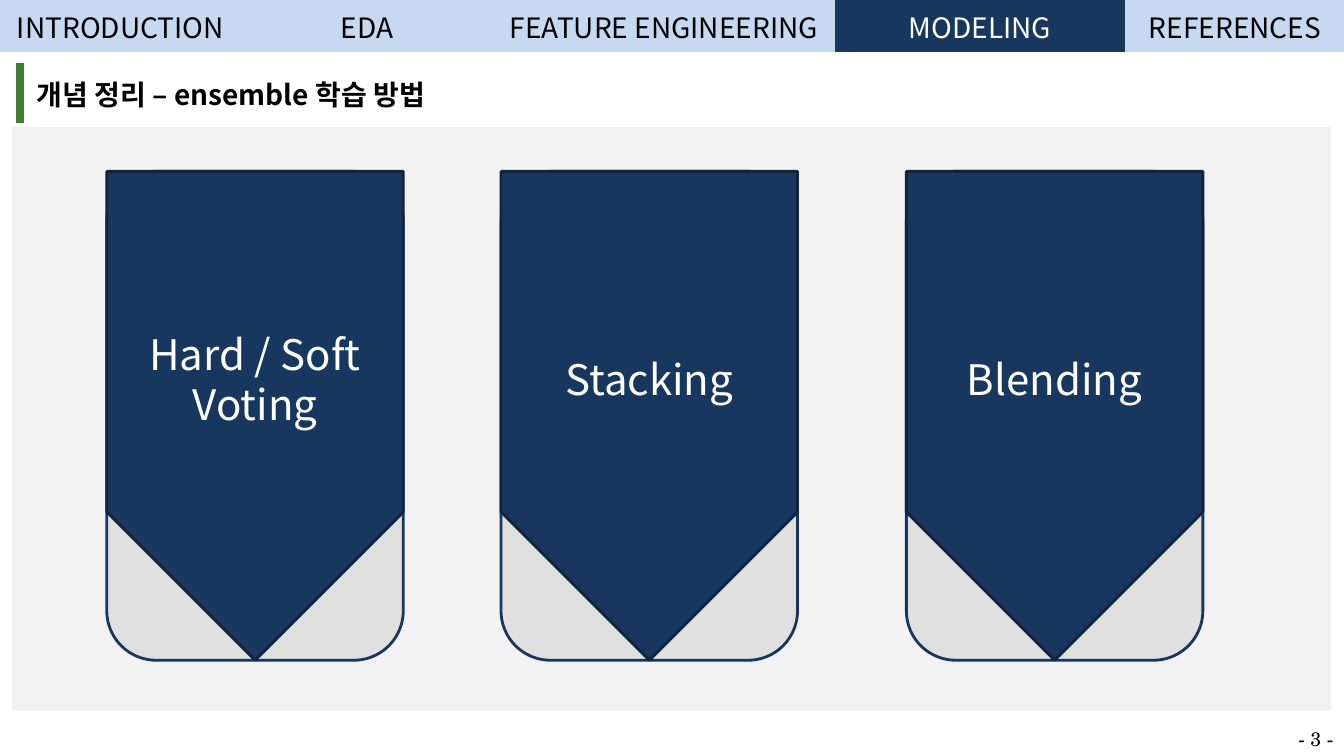
from lxml.etree import SubElement
from pptx import Presentation
from pptx.dml.color import RGBColor
from pptx.enum.shapes import MSO_SHAPE as SHAPE
from pptx.enum.text import MSO_ANCHOR as ANCHOR, PP_ALIGN as ALIGN
from pptx.oxml.ns import qn
from pptx.util import Inches, Pt

# Content
HEADING = " 개념 정리 – ensemble 학습 방법"
PAGE = "- 3 -"
TABS = [("INTRODUCTION", 2.39), ("EDA", 2.5), ("FEATURE ENGINEERING", 3.39),
        ("MODELING", 2.88), ("REFERENCES", 2.18)]  # label, column width
CURRENT = "MODELING"
BANNERS = [("Hard / Soft Voting", 1.06), ("Stacking", 4.97), ("Blending", 8.99)]  # label, left

# Format
SANS, SERIF = "Noto Sans CJK KR", "TeX Gyre Schola"
BLACK, WHITE = RGBColor(0, 0, 0), RGBColor(255, 255, 255)
NAVY, DARK = RGBColor(0x17, 0x37, 0x5E), RGBColor(0x0F, 0x24, 0x3E)
SKY, GREEN = RGBColor(0xC6, 0xD9, 0xF1), RGBColor(0x3E, 0x7D, 0x33)
PANEL, GRAY = RGBColor(0xF2, 0xF2, 0xF2), RGBColor(0xE0, 0xE0, 0xE0)
NO_STYLE = "{2D5ABB26-0587-4C30-8999-92F81FD0307C}"
WIDTH, HEIGHT = 13.33, 7.5
ROW_H = 0.52
BANNER_TOP, BANNER_W, BANNER_H = 1.7, 2.94, 4.85

prs = Presentation()
prs.slide_width, prs.slide_height = Inches(WIDTH), Inches(HEIGHT)
s = prs.slides.add_slide(prs.slide_layouts[6])


def write(tf, text, size=20, color=BLACK, font=SANS, bold=False, align=ALIGN.CENTER):
    p = tf.paragraphs[0]
    p.alignment = align
    r = p.add_run()
    r.text = text
    r.font.size, r.font.bold, r.font.name = Pt(size), bold, font
    r.font.color.rgb = color
    SubElement(r.font._element, qn("a:ea"), typeface=font)


def add_box(kind, x, y, w, h, fill, line=None):
    sp = s.shapes.add_shape(kind, Inches(x), Inches(y), Inches(w), Inches(h))
    sp.shadow.inherit = False
    sp.fill.solid()
    sp.fill.fore_color.rgb = fill
    if line is None:
        sp.line.fill.background()
    else:
        sp.line.color.rgb, sp.line.width = line, Pt(2)
    return sp


def add_row(x, y, widths, margin, anchor):
    """Add a plain one-row table and return its cells."""
    table = s.shapes.add_table(1, len(widths), Inches(x), Inches(y),
                               Inches(sum(widths)), Inches(ROW_H)).table
    table.first_row = table.horz_banding = False
    table._tbl.tblPr.find(qn("a:tableStyleId")).text = NO_STYLE
    for column, width in zip(table.columns, widths):
        column.width = Inches(width)
    cells = list(table.iter_cells())
    for cell in cells:
        cell.margin_left = cell.margin_right = Inches(margin)
        cell.margin_top = cell.margin_bottom = Inches(margin)
        cell.vertical_anchor = anchor
    return cells


# Background panel
add_box(SHAPE.RECTANGLE, 0.12, 1.26, 13.08, 5.79, PANEL)

# Heading with its green left border
heading = add_row(0.2, 0.62, [5.65], 0.1, ANCHOR.TOP)[0]
border = SubElement(heading._tc.get_or_add_tcPr(), qn("a:lnL"), w=str(Pt(6)))
SubElement(SubElement(border, qn("a:solidFill")), qn("a:srgbClr"), val=str(GREEN))
write(heading.text_frame, HEADING, bold=True, align=ALIGN.LEFT)

# Page number
page = s.shapes.add_textbox(Inches(12.78), Inches(7.16), Inches(0.55), Inches(0.34))
page.text_frame.word_wrap = False
write(page.text_frame, PAGE, size=14, font=SERIF, align=ALIGN.LEFT)

# Navigation tabs
tabs = add_row(0, 0, [width for _, width in TABS], 0.04, ANCHOR.MIDDLE)
for cell, (label, _) in zip(tabs, TABS):
    cell.fill.solid()
    cell.fill.fore_color.rgb = NAVY if label == CURRENT else SKY
    write(cell.text_frame, label, color=WHITE if label == CURRENT else BLACK)

# Banners: a card under a pentagon turned to point down
turn = (BANNER_H - BANNER_W) / 2
for label, left in BANNERS:
    add_box(SHAPE.ROUNDED_RECTANGLE, left, BANNER_TOP, BANNER_W, BANNER_H, GRAY, NAVY)
    sp = add_box(SHAPE.PENTAGON, left - turn, BANNER_TOP + turn, BANNER_H, BANNER_W, NAVY, DARK)
    sp.rotation = 90
    tf = sp.text_frame
    tf._txBody.bodyPr.set("vert", "vert270")
    tf.word_wrap, tf.vertical_anchor = True, ANCHOR.MIDDLE
    write(tf, label, size=30, color=WHITE)

prs.save("out.pptx")
